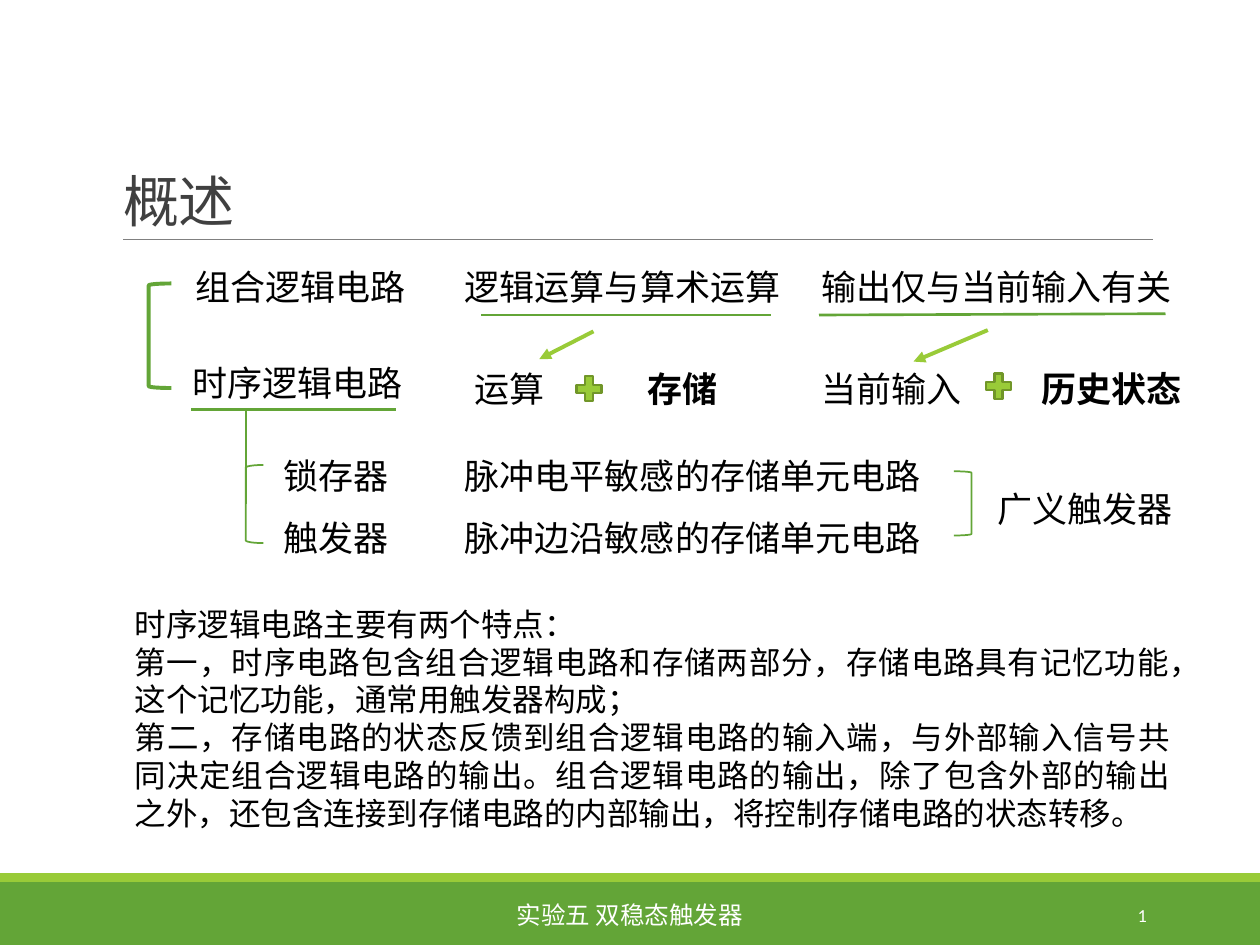
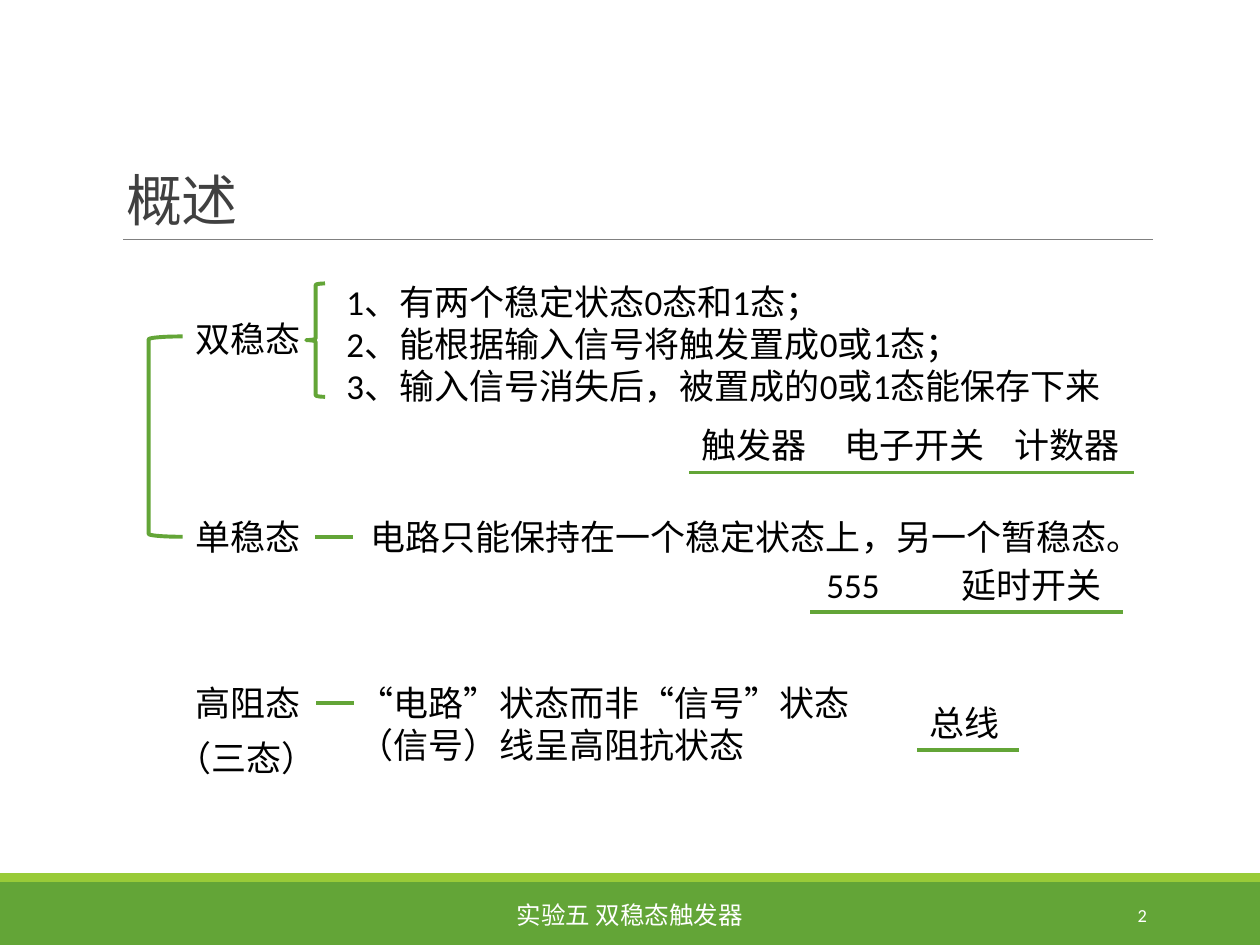
from pptx import Presentation
from pptx.dml.color import RGBColor
from pptx.enum.shapes import MSO_CONNECTOR, MSO_SHAPE as Shape
from pptx.enum.text import MSO_ANCHOR as Anchor, MSO_AUTO_SIZE as AutoSize, PP_ALIGN as Align
from pptx.oxml.ns import qn
from pptx.util import Inches, Pt
from lxml.etree import SubElement

WIDTH, HEIGHT = 10, 7.5
COLORS = {"green": "63A537", "lime": "99CB38", "olive": "719629", "rule": "808080",
          "title": "404040", "text": "000000", "white": "FFFFFF"}
TITLE = "概述"
FOOTER = "实验五 双稳态触发器"
BAND_TOP, STRIPE = 7, 0.07
LABEL_HEIGHT = 0.44
CHAR_WIDTH, INSET = 0.28, 0.1

# Column edges and row tops of the two diagrams
KIND, PART, TASK, OUTPUT = 1.45, 2.15, 3.59, 6.42
COMBINATIONAL, SEQUENTIAL, LATCH, FLIP_FLOP = 2.06, 2.87, 3.56, 4.05
BISTABLE, EXAMPLES, MONOSTABLE, TIMERS, HIGH_Z = 2.47, 3.31, 4.04, 4.42, 5.36

# Labels: text, left, top, bold
CIRCUIT_LABELS = [
    ("组合逻辑电路", KIND, COMBINATIONAL, False),
    ("逻辑运算与算术运算", TASK, COMBINATIONAL, False),
    ("输出仅与当前输入有关", OUTPUT, COMBINATIONAL, False),
    ("时序逻辑电路", 1.43, 2.82, False),
    ("运算", 3.67, SEQUENTIAL, False),
    ("存储", 5.04, SEQUENTIAL, True),
    ("当前输入", OUTPUT, SEQUENTIAL, False),
    ("历史状态", 8.17, SEQUENTIAL, True),
    ("锁存器", PART, LATCH, False),
    ("脉冲电平敏感的存储单元电路", TASK, LATCH, False),
    ("触发器", PART, FLIP_FLOP, False),
    ("脉冲边沿敏感的存储单元电路", TASK, FLIP_FLOP, False),
    ("广义触发器", 7.82, 3.82, False),
]
STATE_LABELS = [
    ("双稳态", KIND, BISTABLE, False),
    ("触发器", 5.47, EXAMPLES, False),
    ("电子开关", 6.6, EXAMPLES, False),
    ("计数器", 7.95, EXAMPLES, False),
    ("单稳态", KIND, MONOSTABLE, False),
    ("555", 6.46, TIMERS, False),
    ("延时开关", 7.53, TIMERS, False),
    ("高阻态", KIND, HIGH_Z, False),
    ("（三态）", 1.3, HIGH_Z + LABEL_HEIGHT, False),
    ("总线", 7.28, 5.52, False),
]
FEATURES = [
    "时序逻辑电路主要有两个特点：",
    "第一，时序电路包含组合逻辑电路和存储两部分，存储电路具有记忆功能，这个记忆功能，通常用触发器构成；",
    "第二，存储电路的状态反馈到组合逻辑电路的输入端，与外部输入信号共同决定组合逻辑电路的输出。"
    "组合逻辑电路的输出，除了包含外部的输出之外，还包含连接到存储电路的内部输出，将控制存储电路的状态转移。",
]
BISTABLE_RULES = [
    "1、有两个稳定状态0态和1态；",
    "2、能根据输入信号将触发置成0或1态；",
    "3、输入信号消失后，被置成的0或1态能保存下来",
]
MONOSTABLE_RULE = ["电路只能保持在一个稳定状态上，另一个暂稳态。"]
HIGH_Z_RULES = ["“电路”状态而非“信号”状态", "（信号）线呈高阻抗状态"]

# Lines: start x, start y, end x, end y
CIRCUIT_UNDERLINES = [(3.82, 2.5, 6.12, 2.5), (6.5, 2.5, 9.25, 2.49), (1.52, 3.25, 3.14, 3.25)]
CIRCUIT_ARROWS = [(4.71, 2.63, 4.28, 2.85), (7.84, 2.62, 7.25, 2.87)]
STATE_LINES = [
    (2.5, 4.26, 2.8, 4.26), (2.51, 5.58, 2.81, 5.58),
    (5.47, 3.75, 9, 3.75), (6.43, 4.86, 8.91, 4.86), (7.28, 5.95, 8.09, 5.95),
]
PLUS_SIGNS = [(4.54, 2.95), (7.79, 2.93)]
PLUS_SIZE = 0.27


def color(name):
    return RGBColor.from_string(COLORS[name])


def add_span(para, text, size, ink="text", bold=False, font="Calibri"):
    span = para.add_run()
    span.text = text
    span.font.name, span.font.size, span.font.bold = font, Pt(size), bold
    span.font.color.rgb = color(ink)
    return span


def add_text(page, lines, left, top, width, height, size=20, ink="text", bold=False,
             font="Calibri", align=None, anchor=Anchor.TOP, wrap=True):
    """Add a text box with one paragraph per line and return its last run."""
    box = page.shapes.add_textbox(*map(Inches, (left, top, width, height)))
    frame = box.text_frame
    frame.word_wrap, frame.vertical_anchor = wrap, anchor
    frame.auto_size = AutoSize.NONE if wrap else AutoSize.SHAPE_TO_FIT_TEXT
    for index, line in enumerate(lines):
        para = frame.add_paragraph() if index else frame.paragraphs[0]
        para.alignment = align
        span = add_span(para, line, size, ink, bold, font)
    return span


def add_labels(page, labels):
    for text, left, top, bold in labels:
        width = len(text) * (CHAR_WIDTH / 2 if text.isdigit() else CHAR_WIDTH) + 2 * INSET
        add_text(page, [text], left, top, width, LABEL_HEIGHT, bold=bold, wrap=False)


def add_figure(page, kind, left, top, width, height, fill=None, line=None, weight=1.0):
    figure = page.shapes.add_shape(kind, *map(Inches, (left, top, width, height)))
    figure.shadow.inherit = False
    if fill:
        figure.fill.solid()
        figure.fill.fore_color.rgb = color(fill)
    else:
        figure.fill.background()
    if line:
        figure.line.color.rgb = color(line)
        figure.line.width = Pt(weight)
    else:
        figure.line.fill.background()
    return figure


def add_lines(page, ends, ink="green", weight=2.25, arrow=False):
    for points in ends:
        line = page.shapes.add_connector(MSO_CONNECTOR.STRAIGHT, *map(Inches, points))
        line.line.color.rgb = color(ink)
        line.line.width = Pt(weight)
        properties = line._element.spPr
        if arrow:
            SubElement(properties.find(qn("a:ln")), qn("a:tailEnd"), type="triangle")
        SubElement(properties, qn("a:effectLst"))


def add_page(deck, number, title_left, title_top):
    """Add a slide with the shared title, rule, bands and footer."""
    page = deck.slides.add_slide(deck.slide_layouts[5])
    add_figure(page, Shape.RECTANGLE, 0, BAND_TOP, WIDTH, HEIGHT - BAND_TOP, "green")
    add_figure(page, Shape.RECTANGLE, 0, BAND_TOP - STRIPE, WIDTH, STRIPE, "lime")
    add_lines(page, [(0.98, 1.9, 9.15, 1.9)], "rule", 0.5)

    title = page.shapes.title
    title.left, title.top, title.width, title.height = map(
        Inches, (title_left, title_top, 8.25, 1.59))
    frame = title.text_frame
    frame.vertical_anchor, frame.auto_size = Anchor.BOTTOM, AutoSize.NONE
    para = frame.paragraphs[0]
    para.alignment, para.line_spacing = Align.LEFT, 0.85
    span = add_span(para, TITLE, 32, "title")
    span._r.get_or_add_rPr().set("spc", "-50")

    footer = {"top": 7.06, "height": 0.4, "ink": "white", "anchor": Anchor.MIDDLE}
    add_text(page, [FOOTER], left=3.02, width=3.96, size=14, align=Align.CENTER, **footer)
    span = add_text(page, [str(number)], left=8.12, width=1.08, size=10.5,
                    align=Align.RIGHT, **footer)
    field = span._r
    field.tag = qn("a:fld")
    field.set("id", "{B6F15528-21DE-4FAA-801E-634DDDAF4B2B}")
    field.set("type", "slidenum")
    return page


def build_circuits(deck):
    page = add_page(deck, 1, 0.88, 0.32)
    add_figure(page, Shape.LEFT_BRACKET, 1.18, 2.25, 0.18, 0.83, line="green", weight=2.25)
    add_labels(page, CIRCUIT_LABELS)
    add_lines(page, CIRCUIT_UNDERLINES, weight=1.5)
    for left, top in PLUS_SIGNS:
        add_figure(page, Shape.MATH_PLUS, left, top, PLUS_SIZE, PLUS_SIZE, "lime", "olive", 1.25)
    add_lines(page, CIRCUIT_ARROWS, "lime", arrow=True)
    parts = add_figure(page, Shape.LEFT_BRACKET, 1.95, 3.69, 0.14, 0.62, line="green")
    parts.adjustments[0] = 0.155
    add_lines(page, [(1.95, 3.26, 1.95, 4)], weight=1)
    add_figure(page, Shape.RIGHT_BRACKET, 7.57, 3.74, 0.14, 0.51, line="green")
    add_text(page, FEATURES, 0.97, 4.75, 8.42, 1.92, size=18, font="Arial", align=Align.JUSTIFY)


def build_states(deck):
    page = add_page(deck, 2, 0.9, 0.31)
    add_figure(page, Shape.LEFT_BRACKET, 1.18, 2.67, 0.27, 1.59, line="green", weight=2.25)
    add_labels(page, STATE_LABELS)
    add_text(page, BISTABLE_RULES, 2.65, 2.18, 6.24, 1.11)
    add_text(page, MONOSTABLE_RULE, 2.84, MONOSTABLE, 6.31, LABEL_HEIGHT)
    add_text(page, HIGH_Z_RULES, 2.75, HIGH_Z, 4.13, 0.77, wrap=False)
    add_figure(page, Shape.LEFT_BRACE, 2.43, 2.25, 0.15, 0.9, line="green", weight=2.25)
    add_lines(page, STATE_LINES)


def main():
    deck = Presentation()
    deck.slide_width, deck.slide_height = Inches(WIDTH), Inches(HEIGHT)
    build_circuits(deck)
    build_states(deck)
    deck.save("out.pptx")


if __name__ == "__main__":
    main()
